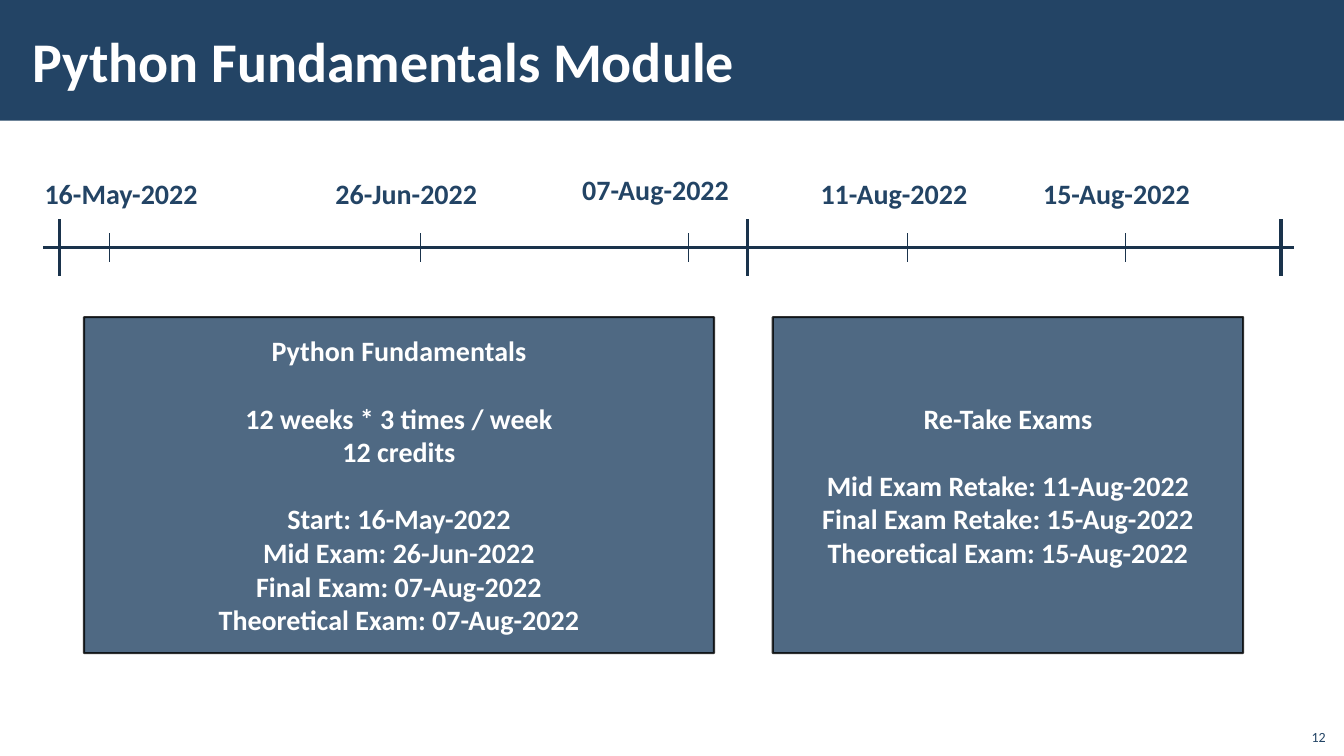
import dataclasses

import pptx
import pptx.dml.color
import pptx.enum.shapes
import pptx.enum.text
import pptx.oxml.ns
import pptx.util
from lxml import etree

PX = 9525
ALIGN = pptx.enum.text.PP_ALIGN
ANCHOR = pptx.enum.text.MSO_ANCHOR


@dataclasses.dataclass(frozen=True)
class Theme:
    """Colours, font and type sizes of the deck."""
    navy: str = "234465"
    axis: str = "1A334C"
    white: str = "FFFFFF"
    black: str = "000000"
    font: str = "Calibri"
    title: int = 40
    body: int = 20
    number: int = 10
    line_gap: int = 24
    card_opacity: int = 80


THEME = Theme()


def px(*lengths):
    """Turn pixel lengths into EMU."""
    return [pptx.util.Emu(n * PX) for n in lengths]


def rgb(value):
    """Return a colour from its hex value."""
    return pptx.dml.color.RGBColor.from_string(value)


def set_opacity(fill, percent):
    """Make a solid fill of a shape or line partly transparent."""
    clr = fill.find(".//" + pptx.oxml.ns.qn("a:srgbClr"))
    etree.SubElement(clr, pptx.oxml.ns.qn("a:alpha"), val=str(percent * 1000))


def style(p, size, color, bold=True, align=ALIGN.LEFT):
    """Set the font and alignment of a paragraph."""
    p.alignment = align
    p.font.name = THEME.font
    p.font.size = pptx.util.Pt(size)
    p.font.bold = bold
    p.font.color.rgb = rgb(color)


def add_text(s, box, text, size, color, anchor=ANCHOR.TOP, **kwargs):
    """Add a one-paragraph text box and return its text frame."""
    tf = s.shapes.add_textbox(*px(*box)).text_frame
    tf.word_wrap = True
    tf.vertical_anchor = anchor
    p = tf.paragraphs[0]
    p.text = text
    style(p, size, color, **kwargs)
    return tf


def add_rect(s, box, color):
    """Add a flat rectangle without outline."""
    sp = s.shapes.add_shape(pptx.enum.shapes.MSO_SHAPE.RECTANGLE, *px(*box))
    sp.shadow.inherit = False
    sp.fill.solid()
    sp.fill.fore_color.rgb = rgb(color)
    sp.line.fill.background()
    return sp


def add_line(s, x1, y1, x2, y2, width):
    """Add a straight line in the axis colour."""
    straight = pptx.enum.shapes.MSO_CONNECTOR.STRAIGHT
    line = s.shapes.add_connector(straight, *px(x1, y1, x2, y2))
    line.line.color.rgb = rgb(THEME.axis)
    line.line.width = pptx.util.Pt(width)
    sp_pr = line._element.find(pptx.oxml.ns.qn("p:spPr"))
    etree.SubElement(sp_pr, pptx.oxml.ns.qn("a:effectLst"))


def add_header(s, box, title):
    """Fill the header band and set the title in it."""
    x, y, w, h = box
    add_rect(s, box, THEME.navy)
    tf = add_text(s, (x + 20, y + 11, 1020, h - 23), title, THEME.title,
                  THEME.white, anchor=ANCHOR.MIDDLE)
    tf.margin_left, tf.margin_top, tf.margin_right, tf.margin_bottom = px(11, 4, 11, 4)


def add_timeline(s, box, bounds, events):
    """Draw the axis, its period bounds and the dated events."""
    x, y, w, h = box
    axis_y = y + 76
    add_line(s, x, axis_y, x + w, axis_y, 2.25)
    for bound in bounds:
        add_line(s, x + bound, axis_y - 27, x + bound, axis_y + 27, 2.25)
    for date, tick, label_x, label_y in events:
        add_line(s, x + tick, axis_y - 14, x + tick, axis_y + 14, 0.5)
        add_text(s, (x + label_x, y + label_y, 211, 41), date, THEME.body, THEME.navy)


def add_card(s, box, groups):
    """Draw a card with groups of lines set one line apart."""
    sp = add_rect(s, box, THEME.navy)
    sp.line.color.rgb = rgb(THEME.black)
    sp.line.width = pptx.util.Pt(1.5)
    sp_pr = sp._element.spPr
    for tag in ("a:solidFill", "a:ln"):
        set_opacity(sp_pr.find(pptx.oxml.ns.qn(tag)), THEME.card_opacity)
    tf = sp.text_frame
    tf.word_wrap = True
    tf.vertical_anchor = ANCHOR.MIDDLE
    lines = [(i > 0 and j == 0, text)
             for i, group in enumerate(groups) for j, text in enumerate(group)]
    for n, (starts_group, text) in enumerate(lines):
        p = tf.add_paragraph() if n else tf.paragraphs[0]
        p.text = text
        style(p, THEME.body, THEME.white, align=ALIGN.CENTER)
        if starts_group:
            p.space_before = pptx.util.Pt(THEME.line_gap)


def add_page_number(s, box, number):
    """Set the page number in the bottom corner."""
    add_text(s, box, number, THEME.number, THEME.navy, anchor=ANCHOR.BOTTOM,
             bold=False, align=ALIGN.RIGHT)


def add_module_slide(prs):
    """Build the slide with the module schedule."""
    s = prs.slides.add_slide(prs.slide_layouts[6])
    add_header(s, (0, 0, 1280, 115), "Python Fundamentals Module")
    add_timeline(s, (41, 160, 1191, 103), (16, 671, 1179), [
        ("16-May-2022", 63, -8, 3),
        ("26-Jun-2022", 359, 269, 3),
        ("07-Aug-2022", 615, 504, 0),
        ("11-Aug-2022", 823, 731, 3),
        ("15-Aug-2022", 1031, 943, 3),
    ])
    add_card(s, (80, 302, 600, 320), [
        ["Python Fundamentals"],
        ["12 weeks * 3 times / week", "12 credits"],
        ["Start: 16-May-2022", "Mid Exam: 26-Jun-2022",
         "Final Exam: 07-Aug-2022", "Theoretical Exam: 07-Aug-2022"],
    ])
    add_card(s, (736, 302, 448, 320), [
        ["Re-Take Exams"],
        ["Mid Exam Retake: 11-Aug-2022", "Final Exam Retake: 15-Aug-2022",
         "Theoretical Exam: 15-Aug-2022"],
    ])
    add_page_number(s, (1234, 684, 38, 31), "12")


def main():
    """Create the deck and save it."""
    prs = pptx.Presentation()
    prs.slide_width, prs.slide_height = px(1280, 720)
    add_module_slide(prs)
    prs.save("out.pptx")


if __name__ == "__main__":
    main()
